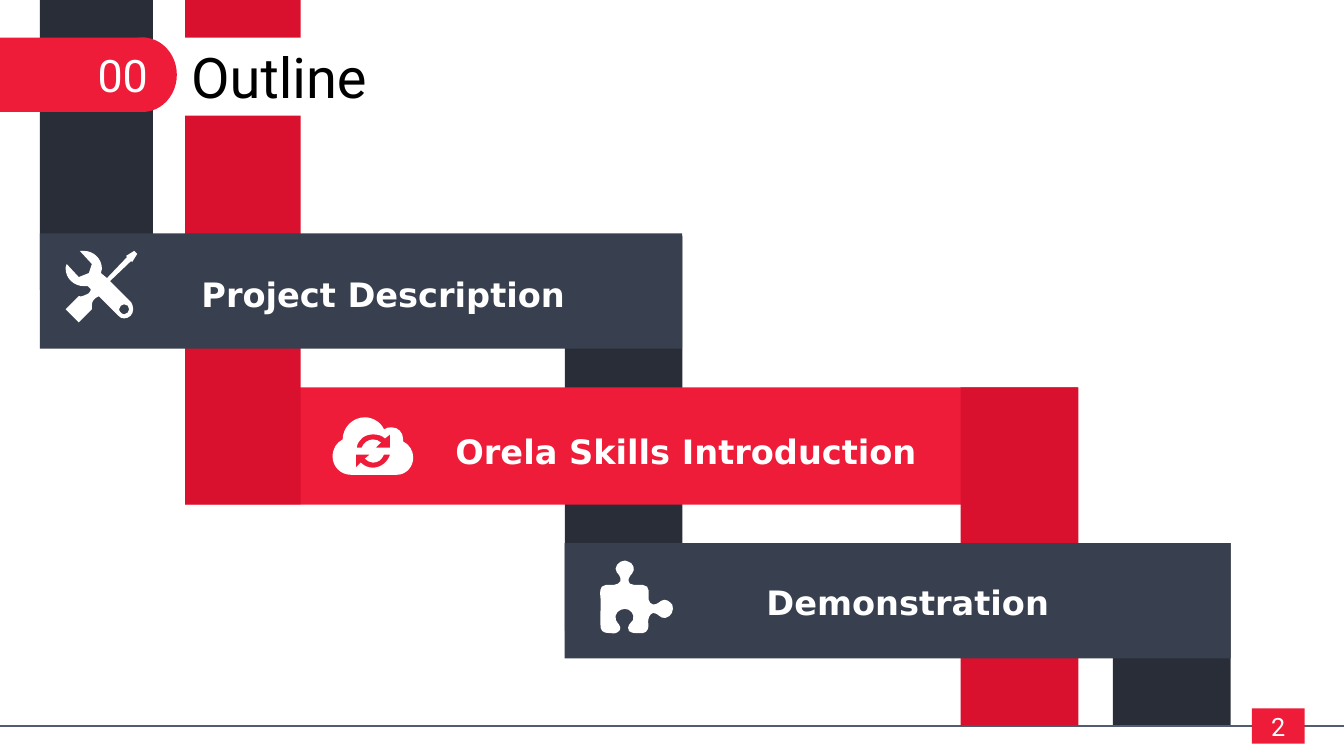
from lxml import etree
from pptx import Presentation
from pptx.dml.color import RGBColor
from pptx.enum.shapes import MSO_CONNECTOR, MSO_SHAPE
from pptx.enum.text import MSO_ANCHOR, MSO_AUTO_SIZE, PP_ALIGN
from pptx.oxml.ns import qn
from pptx.util import Pt

RECT, OVAL = MSO_SHAPE.RECTANGLE, MSO_SHAPE.OVAL
STRAIGHT = MSO_CONNECTOR.STRAIGHT
TOP, MIDDLE = MSO_ANCHOR.TOP, MSO_ANCHOR.MIDDLE
LEFT, CENTER = PP_ALIGN.LEFT, PP_ALIGN.CENTER
FIXED = MSO_AUTO_SIZE.NONE

COLORS = {"navy": "383F4E", "navy_dark": "282D38", "red": "EE1C39",
          "red_dark": "D9112E", "rule": "515C73", "white": "FFFFFF", "black": "000000"}
HEAD_FONT, BAND_FONT = "Roboto", "DejaVu Sans"
WIDTH, HEIGHT, FLOOR = 960, 540, 518.4
ICON_UNIT = 9144  # a hundredth of an inch

# Icon outlines in icon units. Each contour is a list of steps:
# two numbers are a straight line to a point, six numbers a Bezier curve.
TOOLS = [
    [(14, 0), (26, 13), (23, 22), (13, 26), (1, 13), (1, 14, 0, 15, 0, 16), (0, 18),
     (0, 27, 8, 35, 18, 35), (22, 35), (25, 38), (25, 39, 24, 41, 23, 42),
     (21, 43, 16, 46, 13, 45), (0, 58), (13, 71), (26, 58), (26, 54),
     (26, 50, 28, 47, 33, 45), (52, 64), (53, 66, 56, 67, 58, 67),
     (63, 67, 67, 63, 67, 58), (67, 55, 66, 53, 65, 51), (44, 30), (65, 10),
     (66, 11), (71, 3), (68, 0), (60, 5), (61, 6), (41, 27), (35, 22),
     (35, 20, 36, 19, 36, 18), (36, 8, 28, 0, 18, 0)],
    [(58, 53), (61, 53, 63, 55, 63, 58), (63, 60, 61, 63, 58, 63),
     (56, 63, 53, 60, 53, 58), (53, 55, 56, 53, 58, 53)],
]
CLOUD = [
    [(32, 0), (20, 0, 10, 10, 10, 22), (4, 25, 0, 31, 0, 39), (0, 49, 8, 57, 18, 57),
     (64, 57), (73, 57, 80, 49, 80, 40), (80, 33, 76, 27, 70, 24), (70, 22),
     (70, 15, 65, 10, 59, 10), (56, 10, 53, 10, 51, 12), (48, 5, 40, 0, 32, 0)],
    [(40, 17), (45, 17, 49, 18, 52, 21), (57, 17), (57, 30), (43, 30), (48, 25),
     (46, 23, 43, 22, 40, 22), (35, 22, 30, 26, 29, 30), (24, 30),
     (25, 22, 32, 17, 40, 17)],
    [(23, 37), (37, 37), (32, 41), (34, 43, 37, 45, 40, 45), (45, 45, 49, 42, 51, 37),
     (57, 37), (55, 44, 48, 50, 40, 50), (35, 50, 31, 48, 28, 45), (23, 50)],
]
PUZZLE = [
    [(26, 0), (20, 0, 14, 7, 18, 12), (21, 14, 24, 21, 19, 23), (14, 26, 8, 22, 3, 26),
     (0, 30, 2, 36, 2, 41), (2, 49, 1, 58, 2, 67), (3, 72, 8, 72, 12, 72),
     (15, 73, 19, 72, 21, 69), (23, 65, 18, 62, 17, 59), (15, 53, 20, 48, 26, 48),
     (31, 48, 36, 53, 34, 59), (32, 62, 27, 65, 30, 70), (34, 73, 39, 72, 44, 72),
     (49, 71, 50, 66, 49, 61), (49, 58, 50, 53, 54, 52), (59, 52, 61, 58, 66, 57),
     (72, 56, 75, 49, 73, 44), (71, 41, 66, 37, 62, 40), (59, 42, 55, 46, 51, 42),
     (47, 38, 52, 31, 48, 26), (43, 22, 36, 26, 31, 23), (28, 20, 30, 16, 33, 13),
     (37, 9, 34, 2, 29, 1)],
]


def rgb(name):
    return RGBColor.from_string(COLORS[name])


def paint(shape, color):
    shape.shadow.inherit = False
    shape.fill.solid()
    shape.fill.fore_color.rgb = rgb(color)
    shape.line.fill.background()


def add_block(slide, box, color, kind=RECT):
    block = slide.shapes.add_shape(kind, *map(Pt, box))
    paint(block, color)
    return block


def write(shape, text, size, font=HEAD_FONT, color="white", bold=False,
          align=LEFT, anchor=TOP):
    frame = shape.text_frame
    frame.word_wrap = True
    frame.auto_size = FIXED
    frame.vertical_anchor = anchor
    frame.margin_left = frame.margin_right = Pt(7.2)
    frame.margin_top = frame.margin_bottom = Pt(3.6)
    line = frame.paragraphs[0]
    line.alignment = align
    run = line.add_run()
    run.text = text
    run.font.size, run.font.name, run.font.bold = Pt(size), font, bold
    run.font.color.rgb = rgb(color)


def bend_curves(icon, contours):
    """Fold the three segments drawn for each curve step into one Bezier."""
    outline = icon.element.find(".//" + qn("a:path"))
    segments = iter(outline.findall(qn("a:lnTo")))
    for contour in contours:
        for step in contour[1:]:
            drawn = [next(segments) for _ in range(len(step) // 2)]
            if len(drawn) == 3:
                curve = etree.Element(qn("a:cubicBezTo"))
                drawn[0].addprevious(curve)
                for segment in drawn:
                    curve.append(segment[0])
                    outline.remove(segment)


def add_icon(slide, left, top, contours):
    builder = slide.shapes.build_freeform(*contours[0][0], scale=ICON_UNIT)
    for index, contour in enumerate(contours):
        if index:
            builder.move_to(*contour[0])
        builder.add_line_segments([step[i:i + 2] for step in contour[1:]
                                   for i in range(0, len(step), 2)])
    icon = builder.convert_to_shape(Pt(left), Pt(top))
    bend_curves(icon, contours)
    paint(icon, "white")


def add_band(slide, box, color, icon, icon_offset, label, label_box):
    left, top = box[:2]
    add_block(slide, box, color)
    add_icon(slide, left + icon_offset[0], top + icon_offset[1], icon)
    dx, dy, width, height = label_box
    caption = slide.shapes.add_textbox(Pt(left + dx), Pt(top + dy), Pt(width), Pt(height))
    write(caption, label, 24, BAND_FONT, bold=True)


def add_section_badge(slide, box, number):
    left, top, width, height = box
    cap = 49
    add_block(slide, (left, top, width - cap / 2 + 2.7, height), "red")
    add_block(slide, (left + width - cap, top, cap, height), "red", OVAL)
    caption = slide.shapes.add_textbox(Pt(left + 64), Pt(top + 3.6), Pt(90), Pt(46))
    write(caption, number, 32)


def add_footer(slide, box, number):
    left, top, width, height = box
    rule = slide.shapes.add_connector(STRAIGHT, Pt(left), Pt(top), Pt(left + width), Pt(top))
    rule.line.color.rgb = rgb("rule")
    rule.line.width = Pt(1.5)
    etree.SubElement(rule.element.spPr, qn("a:effectLst"))
    page = add_block(slide, (left + width - 65.7, top - 12.4, 37.6, height), "red")
    write(page, number, 18, align=CENTER, anchor=MIDDLE)


def add_title(slide, box, text):
    title = slide.shapes.title
    title.left, title.top, title.width, title.height = map(Pt, box)
    title.fill.solid()
    title.fill.fore_color.rgb = rgb("white")
    write(title, text, 40, color="black")
    # Bring the white title strip in front of the red ribbon
    title.element.getparent().append(title.element)


def build_outline(slide):
    # Ribbons behind, with the footer rule and section badge
    add_block(slide, (794.9, 388, 84.2, FLOOR - 388), "navy_dark")
    add_block(slide, (28.5, 0, 80.8, 207), "navy_dark")
    add_footer(slide, (-1.4, FLOOR, WIDTH + 1.4, 25.2), "2")
    add_section_badge(slide, (-1.4, 26.8, 127.7, 53.2), "00")
    add_block(slide, (403.4, 168.5, 84, 282), "navy_dark")

    # Red band, then the red ribbons that fold over its ends
    add_band(slide, (132.2, 276.7, 637.6, 83.7), "red", CLOUD, (105.4, 21.4),
             "Orela Skills Introduction", (186, 27.5, 361.4, 46))
    add_block(slide, (132.2, 0, 82.6, 360.4), "red_dark")
    add_block(slide, (686.2, 276.7, 84.2, FLOOR - 276.7), "red_dark")

    # Navy bands in front
    add_band(slide, (28.5, 166.7, 458.8, 82.3), "navy", TOOLS, (18.4, 12.5),
             "Project Description", (108.3, 25.5, 292.3, 46))
    add_band(slide, (403.4, 388, 475.7, 82.3), "navy", PUZZLE, (24.3, 12.4),
             "Demonstration", (137, 23.8, 298.8, 46))
    add_title(slide, (129.4, 26.8, 665, 55.8), "Outline")


def main():
    deck = Presentation()
    deck.slide_width, deck.slide_height = Pt(WIDTH), Pt(HEIGHT)
    title_only = deck.slide_layouts[5]
    build_outline(deck.slides.add_slide(title_only))
    deck.save("out.pptx")


if __name__ == "__main__":
    main()
